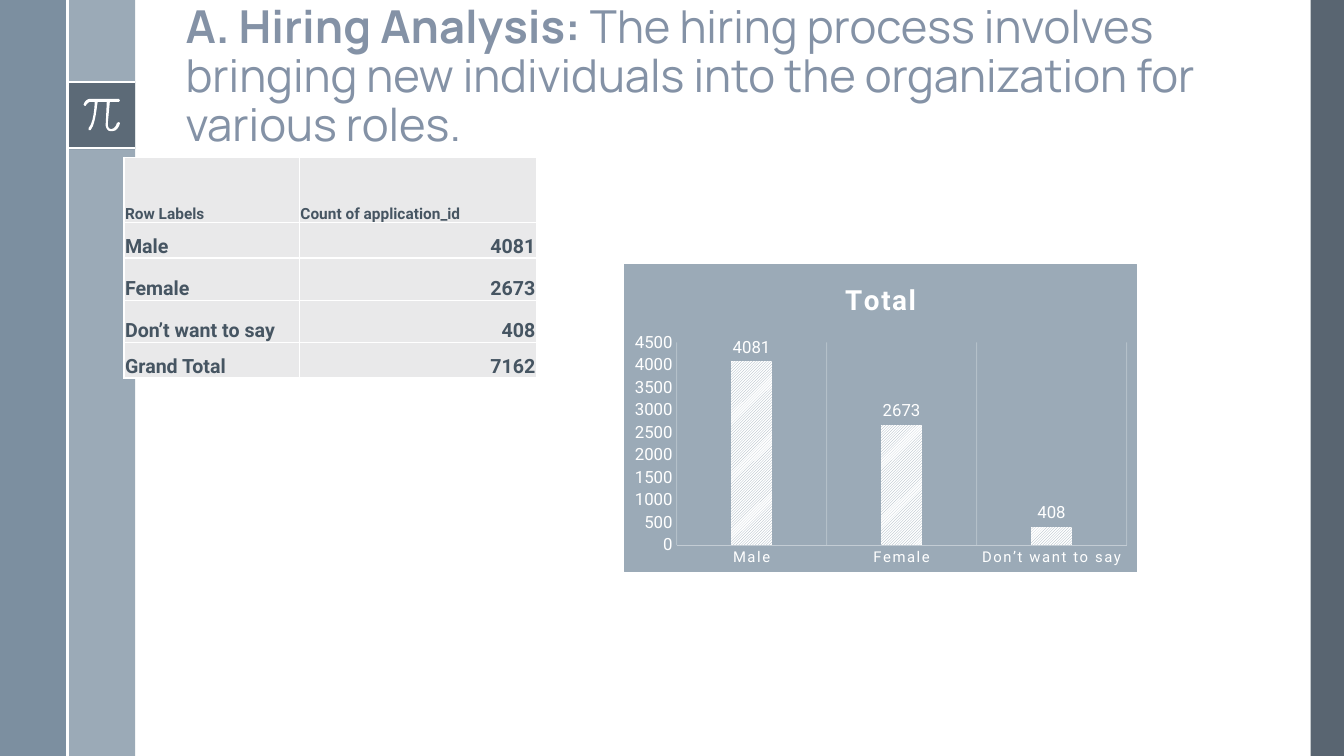
import pptx
import pptx.chart.data
import pptx.dml.color
import pptx.enum.chart
import pptx.enum.dml
import pptx.enum.shapes
import pptx.enum.text
import pptx.oxml
import pptx.util

Inches = pptx.util.Inches
Pt = pptx.util.Pt
RGB = pptx.dml.color.RGBColor
WHITE = RGB(0xFF, 0xFF, 0xFF)
SLATE = RGB(0x47, 0x55, 0x62)
STEEL = RGB(0x6A, 0x80, 0x93)
MIST = RGB(0x9B, 0xAA, 0xB7)
TITLE = RGB(0x84, 0x92, 0xA6)
INK = RGB(0x46, 0x55, 0x62)
CELL = RGB(0xE9, 0xE9, 0xEA)
AXIS = RGB(0xC3, 0xCC, 0xD4)
NS = 'xmlns:a="http://schemas.openxmlformats.org/drawingml/2006/main"'
NSC = 'xmlns:c="http://schemas.openxmlformats.org/drawingml/2006/chart"'

# Outline of the pi sign: points for lines, six numbers for curves
PI = [
    (0.9, 0.98), (0.85, 0.98, 0.83, 1.03, 0.83, 1.04), (0.84, 1.05),
    (0.85, 1.05), (0.85, 1.05, 0.87, 1.01, 0.9, 1.01), (0.94, 1.01),
    (0.94, 1.05, 0.93, 1.22, 0.88, 1.27), (0.88, 1.29), (0.9, 1.29),
    (0.95, 1.23, 0.96, 1.05, 0.97, 1.01), (1.06, 1.01), (1.05, 1.22),
    (1.05, 1.22, 1.04, 1.26, 1.07, 1.29), (1.08, 1.3, 1.09, 1.3, 1.1, 1.3),
    (1.12, 1.3), (1.17, 1.3, 1.19, 1.23, 1.19, 1.22), (1.18, 1.21),
    (1.16, 1.22), (1.16, 1.22, 1.15, 1.27, 1.11, 1.28),
    (1.1, 1.28, 1.09, 1.28, 1.08, 1.27), (1.07, 1.26, 1.07, 1.23, 1.07, 1.22),
    (1.09, 1.01), (1.18, 1.01), (1.19, 1.0), (1.18, 0.98),
]
ROWS = [("Row Labels", "Count of application_id"), ("Male", "4081"),
        ("Female", "2673"), ("Don’t want to say", "408"),
        ("Grand Total", "7162")]


def style(font, size, color, name="Roboto", bold=False, gap=None):
    font.size, font.name, font.bold = Pt(size), name, bold
    font.color.rgb = color
    if gap:
        font._element.set("spc", str(gap))


def write(para, text, **form):
    run = para.add_run()
    run.text = text
    style(run.font, **form)


def fade(color, share):
    color.append(pptx.oxml.parse_xml(f'<a:alpha {NS} val="{share * 1000}"/>'))


def paint(shape, color, share=100):
    shape.shadow.inherit = False
    shape.fill.solid()
    shape.fill.fore_color.rgb = color
    shape.line.fill.background()
    if share < 100:
        fade(shape._element.xpath("./p:spPr/a:solidFill/a:srgbClr")[0], share)


def band(slide, left, top, width, height, color, share=100):
    kind = pptx.enum.shapes.MSO_SHAPE.RECTANGLE
    box = slide.shapes.add_shape(kind, Inches(left), Inches(top),
                                 Inches(width), Inches(height))
    paint(box, color, share)


def rule(slide, *ends):
    kind = pptx.enum.shapes.MSO_CONNECTOR.STRAIGHT
    line = slide.shapes.add_connector(kind, *map(Inches, ends))
    line.line.color.rgb = WHITE
    line.line.width = Pt(1.5)
    line._element.spPr.append(pptx.oxml.parse_xml(f"<a:effectLst {NS}/>"))


def trace(path, steps=6):
    points = [path[0]]
    for part in path[1:]:
        if len(part) == 2:
            points.append(part)
            continue
        start = points[-1]
        for step in range(1, steps + 1):
            t = step / steps
            u = 1 - t
            points.append(tuple(
                u**3 * start[i] + 3 * u * u * t * part[i]
                + 3 * u * t * t * part[i + 2] + t**3 * part[i + 4]
                for i in (0, 1)))
    return points


def glyph(slide):
    points = [(Inches(x), Inches(y)) for x, y in trace(PI)]
    form = slide.shapes.build_freeform(*points[0])
    form.add_line_segments(points[1:], close=True)
    paint(form.convert_to_shape(), WHITE)


def heading(slide):
    title = slide.shapes.title
    title.left, title.top = Inches(1.74), Inches(0.19)
    title.width, title.height = Inches(10.7), Inches(1.36)
    frame = title.text_frame
    frame.word_wrap = True
    frame.auto_size = pptx.enum.text.MSO_AUTO_SIZE.NONE
    frame.vertical_anchor = pptx.enum.text.MSO_ANCHOR.BOTTOM
    para = frame.paragraphs[0]
    para.alignment = pptx.enum.text.PP_ALIGN.LEFT
    para.line_spacing = 0.9
    form = dict(size=32.4, color=TITLE, name="Manrope")
    write(para, "A. Hiring Analysis:", bold=True, **form)
    write(para, " The hiring process involves bringing new individuals "
          "into the organization for various roles.", **form)


def fill_cell(cell, text, size, right):
    cell.margin_left = cell.margin_top = cell.margin_right = Inches(0.01)
    cell.margin_bottom = 0
    cell.vertical_anchor = pptx.enum.text.MSO_ANCHOR.BOTTOM
    for side in "LRTB":
        cell._tc.get_or_add_tcPr().append(pptx.oxml.parse_xml(
            f'<a:ln{side} {NS} w="12700"><a:solidFill>'
            f'<a:srgbClr val="{WHITE}"/></a:solidFill></a:ln{side}>'))
    cell.fill.solid()
    cell.fill.fore_color.rgb = CELL
    para = cell.text_frame.paragraphs[0]
    if right:
        para.alignment = pptx.enum.text.PP_ALIGN.RIGHT
    write(para, text, size=size, color=INK, bold=True)


def counts(slide):
    table = slide.shapes.add_table(
        len(ROWS), 2, Inches(1.23), Inches(1.56), Inches(4.09),
        Inches(2.19)).table
    table.first_row = table.horz_banding = False
    for col, width in zip(table.columns, (1.74, 2.35)):
        col.width = Inches(width)
    for row, height in zip(table.rows, (0.65, 0.35, 0.42, 0.42, 0.35)):
        row.height = Inches(height)
    for r, texts in enumerate(ROWS):
        for c, text in enumerate(texts):
            fill_cell(table.cell(r, c), text, 14 if r else 11, r and c)


def graph(slide):
    enums = pptx.enum.chart
    data = pptx.chart.data.CategoryChartData()
    data.categories = [name for name, _ in ROWS[1:-1]]
    data.add_series("Total", [int(count) for _, count in ROWS[1:-1]])
    chart = slide.shapes.add_chart(
        enums.XL_CHART_TYPE.COLUMN_CLUSTERED, Inches(6.19), Inches(2.62),
        Inches(5.09), Inches(3.06), data).chart
    style(chart.font, 10, INK)
    chart.has_legend = False
    chart.has_title = True
    write(chart.chart_title.text_frame.paragraphs[0], "Total",
          size=19.9, color=WHITE, bold=True, gap=100)
    # Chart background
    solid = f'<a:solidFill><a:srgbClr val="{MIST}"/></a:solidFill>'
    chart._chartSpace.xpath("./c:chart")[0].addnext(pptx.oxml.parse_xml(
        f'<c:spPr {NS} {NSC}>{solid}<a:ln w="9525">{solid}</a:ln></c:spPr>'))
    # Axes
    cat, val = chart.category_axis, chart.value_axis
    for axis in (cat, val):
        axis.major_tick_mark = axis.minor_tick_mark = enums.XL_TICK_MARK.NONE
    style(cat.tick_labels.font, 10.6, WHITE, gap=120)
    style(val.tick_labels.font, 12, WHITE)
    cat.format.line.color.rgb = AXIS
    cat.format.line.width = Pt(0.25)
    cat.has_major_gridlines = True
    grid = cat.major_gridlines.format.line
    grid.color.rgb = WHITE
    grid.width = Pt(0.75)
    fade(cat._element.xpath("./c:majorGridlines//a:srgbClr")[0], 25)
    val.has_major_gridlines = False
    val.format.line.fill.background()
    val.minimum_scale, val.maximum_scale, val.major_unit = 0, 4500, 500
    # Bars and their labels
    plot = chart.plots[0]
    plot.vary_by_categories = False
    plot.gap_width, plot.overlap = 269, -20
    bars = plot.series[0]
    fill = bars.format.fill
    fill.patterned()
    fill.pattern = pptx.enum.dml.MSO_PATTERN.LIGHT_UPWARD_DIAGONAL
    fill.fore_color.rgb, fill.back_color.rgb = MIST, WHITE
    labels = bars.data_labels
    labels.show_value = True
    labels.position = enums.XL_LABEL_POSITION.OUTSIDE_END
    style(labels.font, 12, WHITE)


def main():
    deck = pptx.Presentation()
    deck.slide_width, deck.slide_height = Inches(13.33), Inches(7.5)
    slide = deck.slides.add_slide(deck.slide_layouts[5])
    # Side bands and pi badge
    band(slide, 13, 0, 0.33, 7.5, SLATE, 90)
    band(slide, 0.67, 0, 0.67, 7.5, MIST)
    band(slide, 0, 0, 0.67, 7.5, STEEL, 88)
    band(slide, 0.67, 0.81, 0.67, 0.67, SLATE, 75)
    for y in (0.81, 1.47):
        rule(slide, 0.67, y, 1.34, y)
    glyph(slide)
    rule(slide, 0.67, 0, 0.67, 7.5)
    # Content
    heading(slide)
    counts(slide)
    graph(slide)
    deck.save("out.pptx")


if __name__ == "__main__":
    main()
